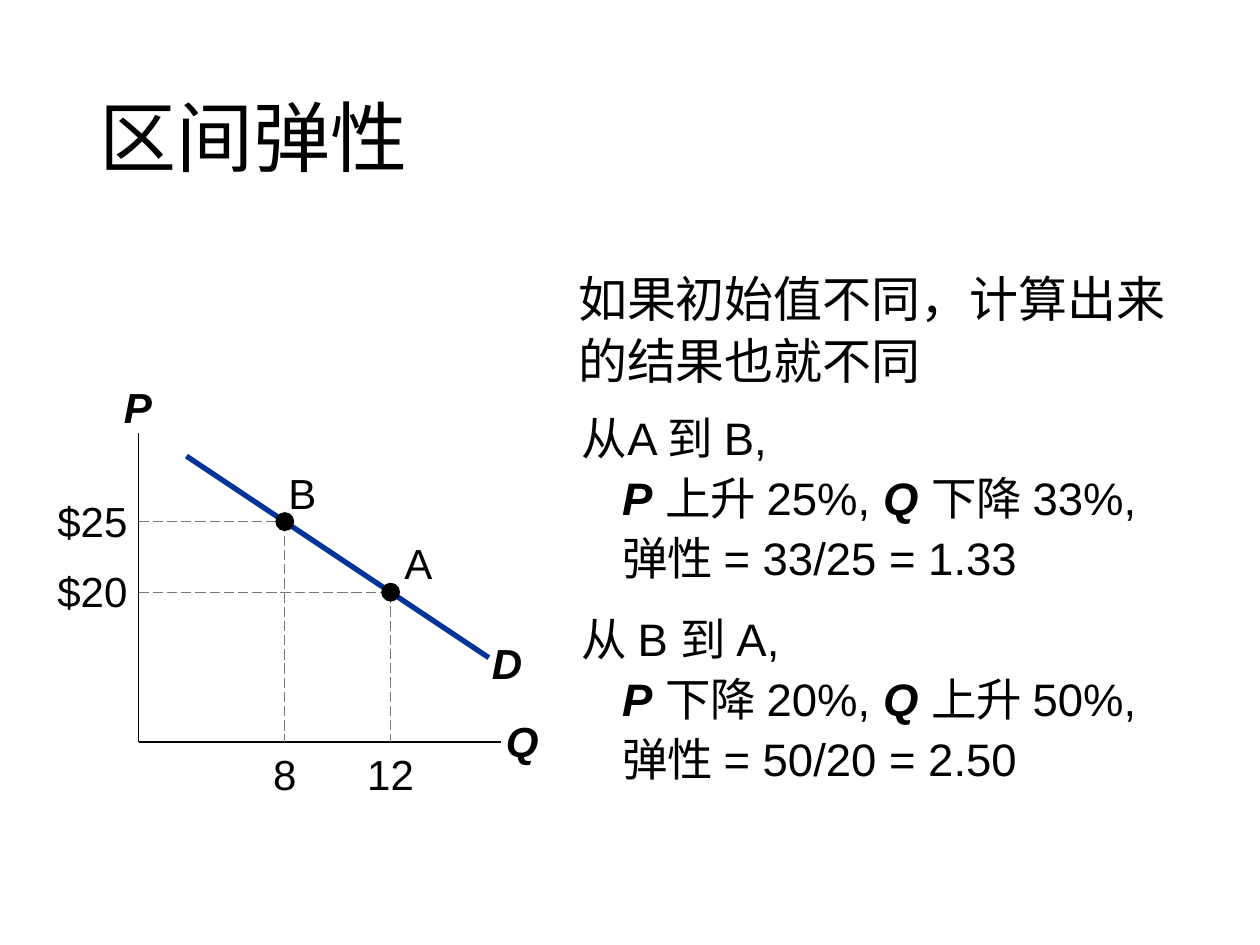
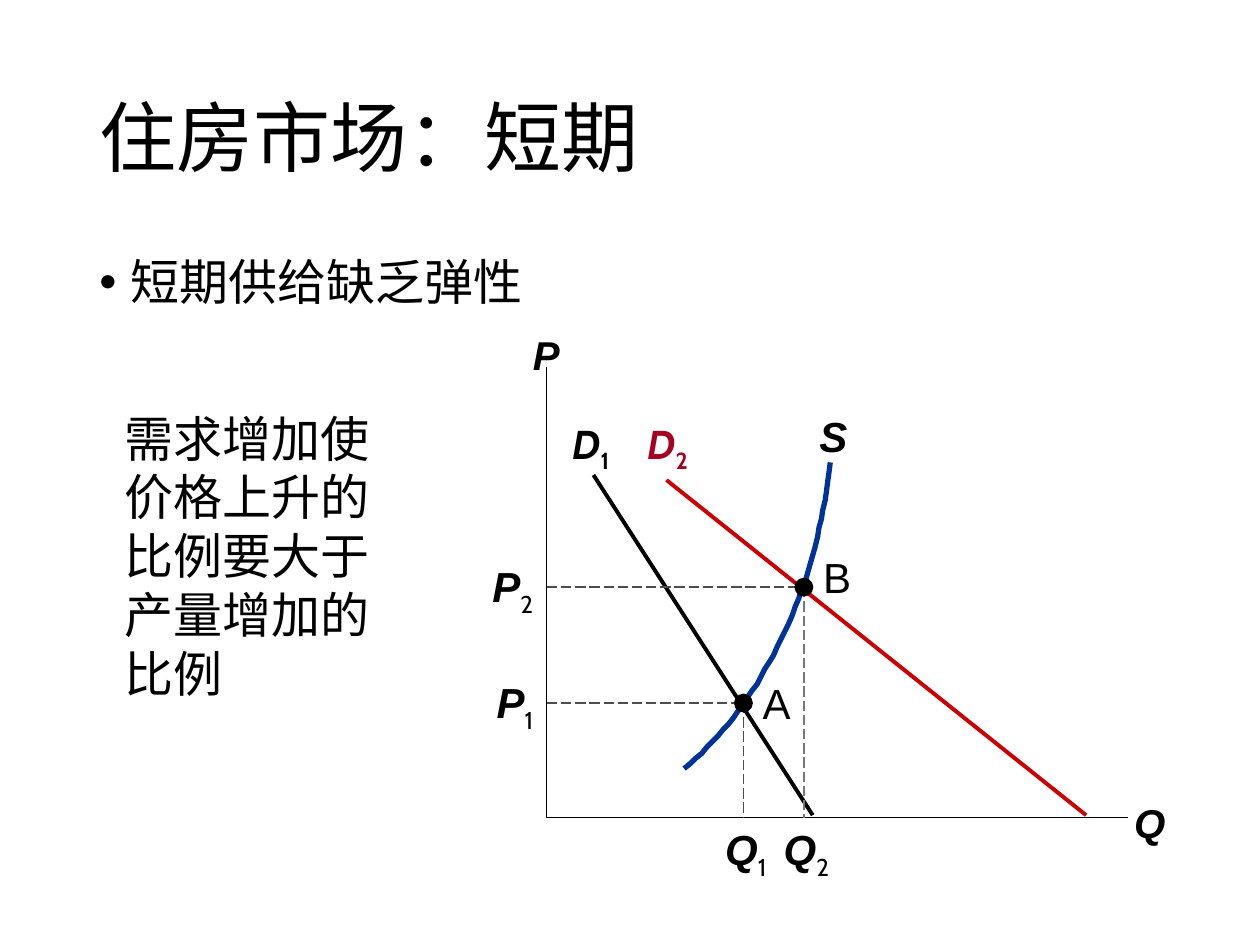
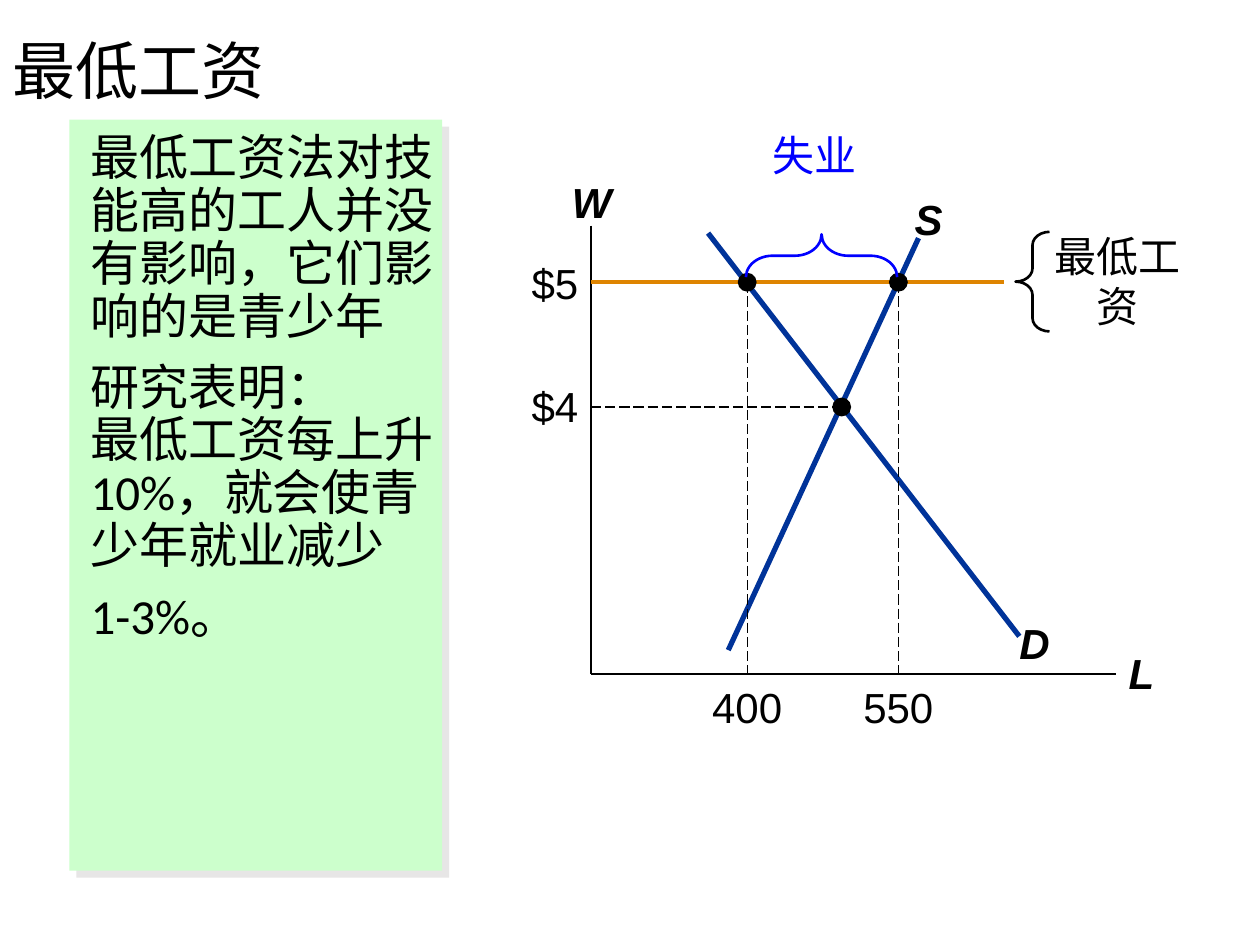
from lxml import etree
from pptx import Presentation
from pptx import util as u
from pptx.dml import color
from pptx.enum import dml, shapes, text
from pptx.oxml import ns

PX = 9144  # EMU per px: 100 px to the inch
BLACK, NAVY, RED, CRIMSON = "000000", "003399", "CC0000", "A50021"
ORANGE, BLUE, MINT, SHADE = "DE8400", "0000FF", "CCFFCC", "E7E6E6"
GREY, DARK = "777777", "4D4D4D"
BODY, CHART, SUB = "Calibri", "Arial", "Cabin"
LEFT, CENTER, RIGHT = text.PP_ALIGN.LEFT, text.PP_ALIGN.CENTER, text.PP_ALIGN.RIGHT
VAR = {"bold": True, "italic": True}


def rgb(value):
    return color.RGBColor.from_string(value)


def emu(*lengths):
    return [u.Emu(round(n * PX)) for n in lengths]


class Deck:
    """Holds the presentation, its style and the current slide."""

    def __init__(self):
        self.prs = Presentation()
        self.prs.slide_width, self.prs.slide_height = emu(1000, 750)

    def new_slide(self):
        self.s = self.prs.slides.add_slide(self.prs.slide_layouts[6])

    def box(self, x, y, w, h, inset=(10, 5), anchor=text.MSO_ANCHOR.TOP):
        tf = self.s.shapes.add_textbox(*emu(x, y, w, h)).text_frame
        tf.word_wrap, tf.vertical_anchor = True, anchor
        tf.margin_left = tf.margin_right = emu(inset[0])[0]
        tf.margin_top = tf.margin_bottom = emu(inset[1])[0]
        return tf

    def paragraph(self, tf, spacing=1.0, before=0, align=LEFT, indent=0, bullet=None):
        """Return the empty first paragraph, or a new one after it."""
        first = tf.paragraphs[0]
        p = tf.add_paragraph() if first.runs else first
        p.line_spacing, p.space_before, p.alignment = spacing, u.Pt(before), align
        pPr = p._p.get_or_add_pPr()
        if indent:
            pPr.set("marL", str(indent * PX))
            pPr.set("indent", str(-indent * PX))
        if bullet:
            etree.SubElement(pPr, ns.qn("a:buFont"), typeface=CHART)
            etree.SubElement(pPr, ns.qn("a:buChar"), char=bullet)
        return p

    def run(self, p, words, size=28, font=BODY, ink=BLACK, bold=False, italic=False, base=0):
        r = p.add_run()
        r.text = words
        f = r.font
        f.size, f.name, f.bold, f.italic = u.Pt(size), font, bold, italic
        f.color.rgb = rgb(ink)
        if base:
            r._r.get_or_add_rPr().set("baseline", str(base * 1000))

    def title(self, words, area=(69, 40, 862, 145), size=44):
        tf = self.box(*area, anchor=text.MSO_ANCHOR.MIDDLE)
        self.run(self.paragraph(tf, 0.9), words, size)

    def label(self, x, y, w, words, sub=None, h=50, align=CENTER, tight=False,
              sub_bold=False, size=24, font=CHART, **style):
        """Write a chart label, with an optional subscript."""
        tf = self.box(x, y, w, h, (0, 0) if tight else (10, 5))
        p = self.paragraph(tf, align=align)
        self.run(p, words, size, font, **style)
        if sub:
            ink = style.get("ink", BLACK)
            self.run(p, sub, size, SUB, ink, bold=sub_bold, base=-25)

    def line(self, x1, y1, x2, y2, ink=BLACK, width=1.0, dashed=False):
        c = self.s.shapes.add_connector(shapes.MSO_CONNECTOR.STRAIGHT, *emu(x1, y1, x2, y2))
        c.line.color.rgb, c.line.width = rgb(ink), u.Pt(width)
        if dashed:
            c.line.dash_style = dml.MSO_LINE.LONG_DASH
        etree.SubElement(c._element.spPr, ns.qn("a:effectLst"))

    def axes(self, x, top, right, bottom, width=1.0):
        self.line(x, top, x, bottom, width=width)
        self.line(x, bottom, right, bottom, width=width)

    def point(self, x, y, axis_x=None, axis_y=None, ink=BLACK, drop_ink=None):
        """Mark a point and draw dashed guides to the axes that are given."""
        if axis_x:
            self.line(axis_x, y, x, y, ink, 0.75, True)
        if axis_y:
            self.line(x, y, x, axis_y, drop_ink or ink, 0.75, True)
        self.shape(shapes.MSO_SHAPE.OVAL, x - 7.5, y - 7.5, 15, 15, fill=BLACK)

    def shape(self, kind, x, y, w, h, fill=None, ink=None):
        sp = self.s.shapes.add_shape(kind, *emu(x, y, w, h))
        self.paint(sp, fill, ink, 1.5)
        return sp

    def paint(self, sp, fill, ink, width):
        sp.shadow.inherit = False
        if fill:
            sp.fill.solid()
            sp.fill.fore_color.rgb = rgb(fill)
        else:
            sp.fill.background()
        if ink:
            sp.line.color.rgb, sp.line.width = rgb(ink), u.Pt(width)
        else:
            sp.line.fill.background()

    def brace(self, x, y, w, h, ink, curl, rotation=0):
        sp = self.shape(shapes.MSO_SHAPE.LEFT_BRACE, x, y, w, h, ink=ink)
        sp.adjustments[0], sp.rotation = curl, rotation

    def curve(self, ends, ink, width, steps=40):
        """Draw a cubic Bezier curve through short straight steps."""
        points = []
        for i in range(steps + 1):
            t = i / steps
            weights = ((1 - t) ** 3, 3 * t * (1 - t) ** 2, 3 * t * t * (1 - t), t ** 3)
            points.append([sum(k * e[axis] for k, e in zip(weights, ends)) for axis in (0, 1)])
        fb = self.s.shapes.build_freeform(*points[0], scale=PX)
        fb.add_line_segments(points[1:], close=False)
        self.paint(fb.convert_to_shape(), None, ink, width)

    def panel(self, x, y, w, h):
        sp = self.shape(shapes.MSO_SHAPE.RECTANGLE, x, y, w, h, fill=MINT)
        effects = sp._element.spPr.find(ns.qn("a:effectLst"))
        shadow = etree.SubElement(effects, ns.qn("a:outerShdw"), dist=str(u.Pt(5.7)),
                                  dir="2700000", algn="ctr", rotWithShape="0")
        etree.SubElement(shadow, ns.qn("a:srgbClr"), val=SHADE)


def arc_elasticity(d):
    d.new_slide()
    d.title("区间弹性")
    x0, y0 = 110, 589
    d.axes(x0, 344, 398, y0)
    d.label(76, 298, 67, "P", **VAR)
    d.label(381, 563, 67, "Q", **VAR)
    d.line(148, 362, 388, 522, NAVY, 3)
    d.label(369, 501, 67, "D", **VAR)
    for name, name_x, x, y, price, amount in (("B", 219, 226, 414, "$25", "8"),
                                              ("A", 311, 310, 470, "$20", "12")):
        d.label(11, y - 26, 100, price, align=RIGHT)
        d.label(x - 32, y0, 64, amount)
        d.point(x, y, x0, y0, GREY)
        d.label(name_x, y - 48, 42, name)

    p = d.paragraph(d.box(449, 206, 502, 110), 1.05)
    d.run(p, "如果初始值不同，计算出来的结果也就不同", 28, CHART)
    tf = d.box(452, 316, 497, 319)
    moves = (("从A 到 B, \v", " 上升 25%, ", " 下降 33%,\v弹性 = 33/25 = 1.33"),
             ("从 B 到 A, \v", " 下降 20%, ", " 上升 50%,\v弹性 = 50/20 = 2.50"))
    for i, (move, price, result) in enumerate(moves):
        p = d.paragraph(tf, 1.1, 12 * i, indent=32)
        for words, style in ((move, {}), ("P", VAR), (price, {}), ("Q", VAR), (result, {})):
            for j, piece in enumerate(words.split("\v")):
                if j:
                    p.add_line_break()
                if piece:
                    d.run(p, piece, 26, CHART, **style)


def housing_short_run(d):
    d.new_slide()
    d.title("住房市场：短期")
    p = d.paragraph(d.box(69, 200, 862, 476), 0.9, 10, indent=25, bullet="•")
    d.run(p, "短期供给缺乏弹性")
    x0, y0 = 434, 649
    d.axes(x0, 291, 895, y0, 0.75)
    d.label(411, 257, 45, "P", size=23, **VAR)
    d.label(890, 629, 45, "Q", size=23, **VAR)
    demand = {"size": 23, "font": SUB, "sub_bold": True, **VAR}
    d.label(436, 328, 66, "D", "1", **demand)
    d.line(471, 377, 645, 647, BLACK, 2.25)
    d.curve(((543, 610), (605, 558), (648, 469), (659, 367)), NAVY, 3)
    d.label(628, 321, 67, "S", **VAR)
    d.line(529, 381, 862, 647, RED, 2.25)
    d.label(497, 328, 66, "D", "2", ink=CRIMSON, **demand)
    for name, sub, x, y, name_y, drop_ink in (("A", "1", 590, 558, 533, DARK),
                                              ("B", "2", 638, 466, 433, GREY)):
        d.label(x - 30, y0, 64, "Q", sub, **VAR)
        d.label(366, y - 26, 67, "P", sub, align=RIGHT, **VAR)
        d.point(x, y, x0, y0, DARK, drop_ink)
        d.label(x + 5, name_y, 43, name)
    d.run(d.paragraph(d.box(89, 319, 216, 246)), "需求增加使价格上升的比例要大于产量增加的比例")


def minimum_wage(d):
    d.new_slide()
    d.panel(55, 95, 296, 596)
    tf = d.box(62, 101, 301, 585)
    findings = (("最低工资法对技能高的工人并没有影响，它们影响的是青少年",),
                ("研究表明：", "最低工资每上升10%，就会使青少年就业减少"),
                ("1-3%。",))
    for i, lines in enumerate(findings):
        p = d.paragraph(tf, 0.9, 10 if i else 0)
        for j, words in enumerate(lines):
            if j:
                p.add_line_break()
            d.run(p, words)
    d.title("最低工资", (0, 23, 1000, 71), 36)

    x0, y0, wage = 469, 535, 224
    d.axes(x0, 179, 886, y0)
    d.label(444, 135, 46, "W", **VAR)
    d.label(881, 509, 50, "L", **VAR)
    d.line(562, 185, 809, 505, NAVY, 3)
    d.label(793, 485, 56, "D", **VAR)
    d.line(578, 516, 729, 189, NAVY, 3)
    d.label(709, 149, 56, "S", **VAR)
    d.point(668, 323, axis_x=x0)
    d.line(x0, wage, 797, wage, ORANGE, 2.25)
    for y, price in ((302, "$4"), (204, "$5")):
        d.label(357, y, 102, price, h=40, align=RIGHT, tight=True)
    d.label(826, 178, 122, "最低工资", h=90)
    d.brace(806, 184, 27, 79, BLACK, 0.39)
    for x, jobs in ((593, "400"), (713, "550")):
        d.label(x - 38, 541, 76, jobs, h=40, tight=True)
        d.point(x, wage, axis_y=y0)
    d.brace(635, 143, 34, 120, BLUE, 0.62, 90)
    d.label(579, 103, 135, "失业", h=40, tight=True, ink=BLUE)


def main():
    d = Deck()
    arc_elasticity(d)
    housing_short_run(d)
    minimum_wage(d)
    d.prs.save("out.pptx")


if __name__ == "__main__":
    main()
